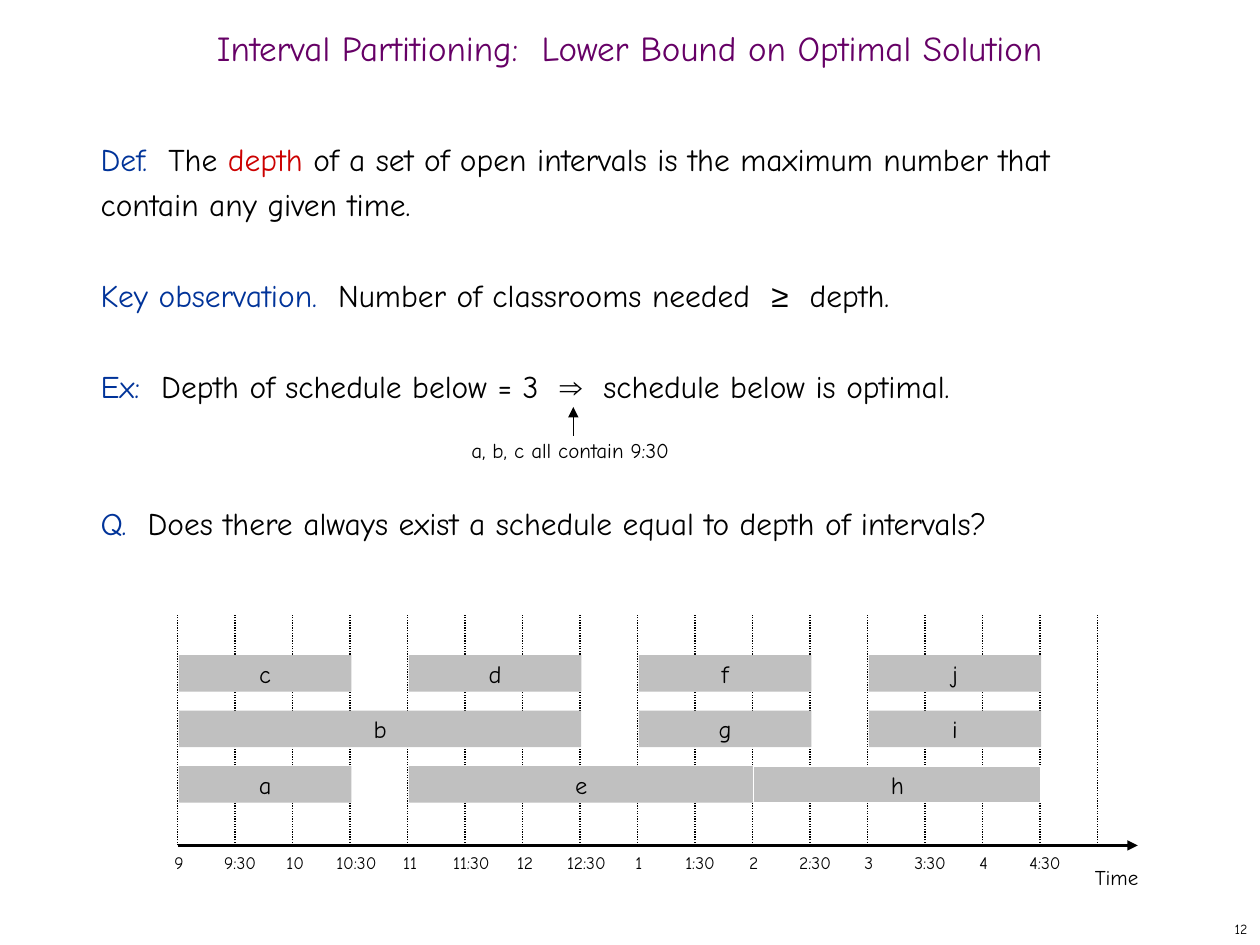
import pptx
import pptx.util
import pptx.dml.color
import pptx.enum.dml
import pptx.enum.shapes
import pptx.enum.text
import pptx.oxml.ns
import lxml.etree

Inches = pptx.util.Inches
Pt = pptx.util.Pt
ALIGN = pptx.enum.text.PP_ALIGN
ANCHOR = pptx.enum.text.MSO_ANCHOR
FACE = "Comic Neue"
BLACK, BLUE, RED = "000000", "003399", "CC0000"
TIMES = ["9", "9:30", "10", "10:30", "11", "11:30", "12", "12:30",
         "1", "1:30", "2", "2:30", "3", "3:30", "4", "4:30"]
BARS = [("c", 0, 3, 0), ("a", 0, 3, 2), ("e", 4, 6, 2), ("f", 8, 3, 0),
        ("g", 8, 3, 1), ("i", 12, 3, 1), ("j", 12, 3, 0), ("d", 4, 3, 0),
        ("b", 0, 7, 1), ("h", 10, 5, 2)]
LINES = [
    (0, [("Def.  ", BLUE), ("The ", BLACK), ("depth", RED),
         (" of a set of open intervals is the maximum number that "
          "contain any given time.", BLACK)]),
    (26, [("Key observation.  ", BLUE),
          ("Number of classrooms needed  ", BLACK),
          ("≥", BLACK, "Arial"), ("  depth.", BLACK)]),
    (26, [("Ex:  ", BLUE), ("Depth of schedule below = 3  ", BLACK),
          ("⇒", BLACK, "Arial"), ("  schedule below is optimal.", BLACK)]),
    (52, [("Q.  ", BLUE),
          ("Does there always exist a schedule equal to depth of intervals?",
           BLACK)]),
]


def shade(code):
    return pptx.dml.color.RGBColor.from_string(code)


def style(font, size, code=BLACK, face=FACE):
    font.size = Pt(size)
    font.name = face
    font.color.rgb = shade(code)


def place(shape, box):
    shape.left, shape.top, shape.width, shape.height = map(Inches, box)


def write(frame, text, size, align, code=BLACK):
    frame.text = text
    para = frame.paragraphs[0]
    para.alignment = align
    style(para.runs[0].font, size, code)


def label(slide, box, text, size, align=ALIGN.LEFT, wrap=True, inset=True):
    shape = slide.shapes.add_textbox(*map(Inches, box))
    frame = shape.text_frame
    frame.word_wrap = wrap
    if not inset:
        frame.margin_left = frame.margin_right = 0
        frame.margin_top = frame.margin_bottom = 0
    write(frame, text, size, align)
    return frame


def rule(slide, ends, width, dash=None, arrow=False):
    line = slide.shapes.add_connector(
        pptx.enum.shapes.MSO_CONNECTOR.STRAIGHT, *map(Inches, ends))
    line.line.color.rgb = shade(BLACK)
    line.line.width = Pt(width)
    if dash:
        line.line.dash_style = dash
    qn = pptx.oxml.ns.qn
    if arrow:
        stroke = line.line._get_or_add_ln()
        lxml.etree.SubElement(stroke, qn("a:tailEnd"), type="triangle")
    lxml.etree.SubElement(line._element.spPr, qn("a:effectLst"))


def head(slide, box):
    title = slide.shapes.title
    place(title, box)
    title.text_frame.vertical_anchor = ANCHOR.MIDDLE
    write(title.text_frame,
          "Interval Partitioning:  Lower Bound on Optimal Solution",
          20, ALIGN.CENTER, "660066")
    title.text_frame.paragraphs[0].line_spacing = 0.7


def body(slide, box):
    frame = slide.shapes.add_textbox(*map(Inches, box)).text_frame
    frame.word_wrap = True
    for index, (gap, parts) in enumerate(LINES):
        para = frame.add_paragraph() if index else frame.paragraphs[0]
        para.line_spacing = Pt(26)
        if gap:
            para.space_before = Pt(gap)
        for text, *look in parts:
            run = para.add_run()
            run.text = text
            style(run.font, 18, *look)


def note(slide, box):
    left, top, width, height = box
    label(slide, (left, top + 0.24, width, height - 0.24),
          "a, b, c all contain 9:30", 12, inset=False)
    rule(slide, (left + 0.81, top + 0.23, left + 0.81, top), 0.75, arrow=True)


def bar(slide, box, text, edge):
    shape = slide.shapes.add_shape(
        pptx.enum.shapes.MSO_SHAPE.RECTANGLE, *map(Inches, box))
    shape.shadow.inherit = False
    shape.fill.solid()
    shape.fill.fore_color.rgb = shade("C0C0C0")
    if edge:
        shape.line.color.rgb = shade("FFFFFF")
        shape.line.width = Pt(0.75)
    else:
        shape.line.fill.background()
    shape.text_frame.word_wrap = False
    shape.text_frame.vertical_anchor = ANCHOR.MIDDLE
    write(shape.text_frame, text, 14, ALIGN.CENTER)


def chart(slide, box):
    left, top, width, height = box
    base = top + height
    step = width / len(TIMES)
    for tick in range(len(TIMES) + 1):
        spot = left + tick * step
        rule(slide, (spot, base, spot, top), 0.75,
             pptx.enum.dml.MSO_LINE.ROUND_DOT)
    rule(slide, (left, base, left + width + 0.32, base), 1.25, arrow=True)
    label(slide, (left + width - 0.12, base + 0.1, 0.72, 0.3), "Time", 12)
    for tick, text in enumerate(TIMES):
        mid = left + tick * step + 0.01 * len(text)
        label(slide, (mid - 0.35, base, 0.7, 0.27), text, 10,
              ALIGN.CENTER, wrap=False)
    for text, start, span, row in BARS:
        spot = (left + start * step + 0.01, top + 0.33 + row * 0.44,
                span * step, 0.29)
        bar(slide, spot, text, text == "h")


def foot(slide, box):
    frame = label(slide, box, "12", 8, ALIGN.RIGHT)
    frame.vertical_anchor = ANCHOR.MIDDLE


def main():
    deck = pptx.Presentation()
    deck.slide_width, deck.slide_height = Inches(10), Inches(7.5)
    slide = deck.slides.add_slide(deck.slide_layouts[5])
    head(slide, (0, 0.17, 10, 0.5))
    body(slide, (0.7, 1, 8.58, 5.92))
    chart(slide, (1.41, 4.87, 7.3, 1.84))
    note(slide, (3.74, 3.23, 1.98, 0.44))
    foot(slide, (7.92, 7.25, 2.08, 0.25))
    deck.save("out.pptx")


if __name__ == "__main__":
    main()
